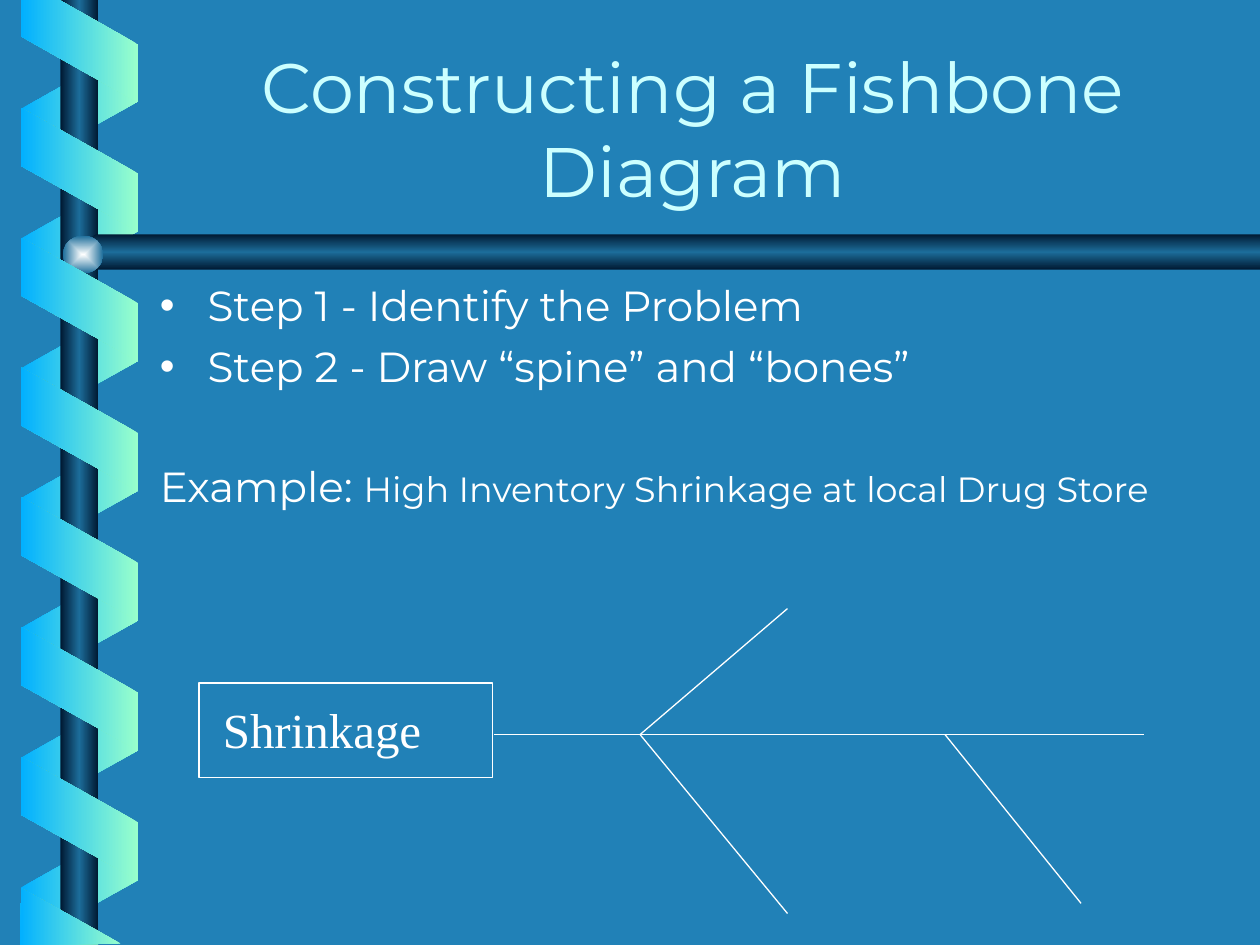
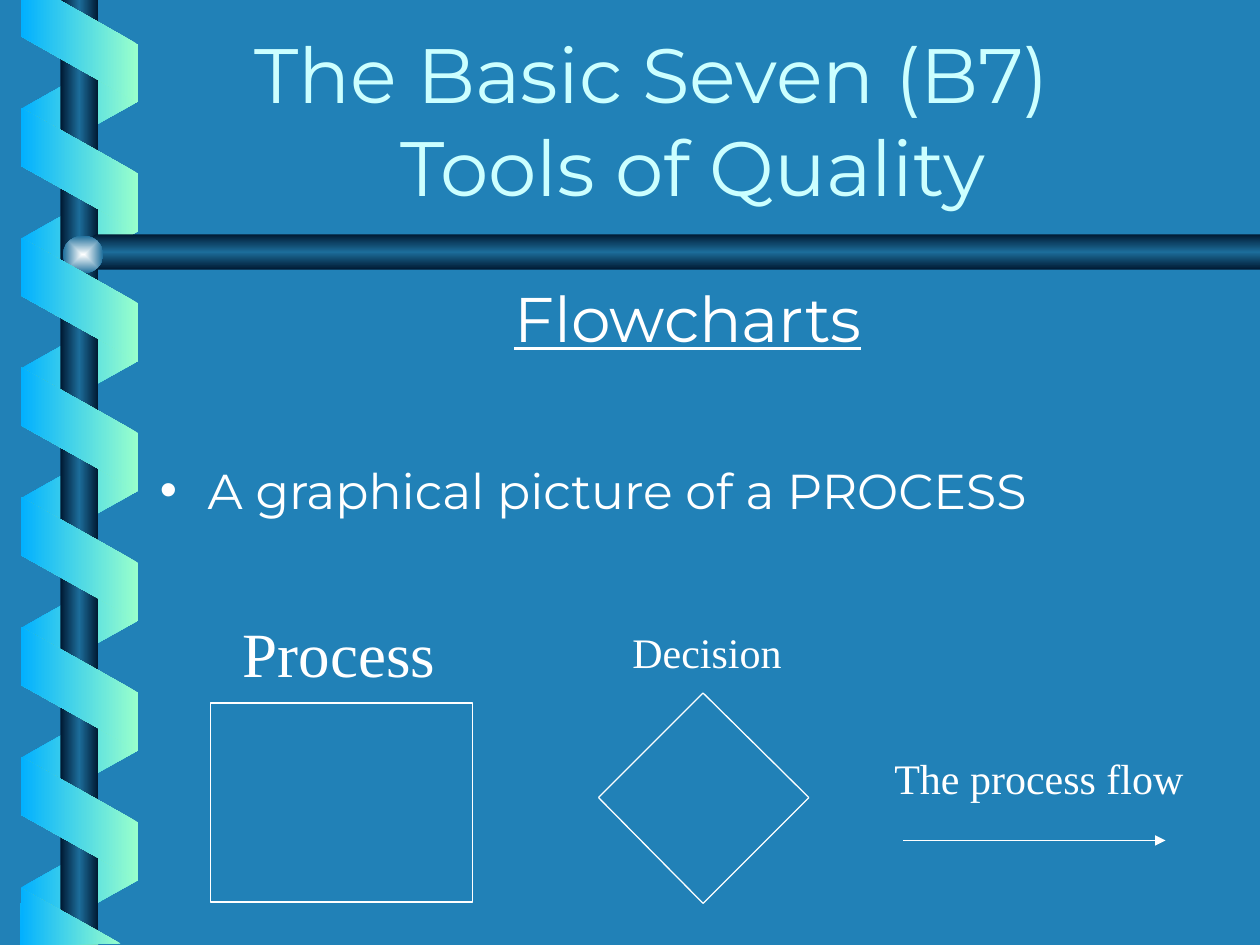
from lxml import etree
from pptx import Presentation
from pptx.dml.color import RGBColor
from pptx.enum.shapes import MSO_CONNECTOR, MSO_SHAPE
from pptx.enum.text import MSO_ANCHOR, PP_ALIGN
from pptx.oxml import parse_xml
from pptx.oxml.ns import nsdecls, qn
from pptx.util import Inches, Pt

STRAIGHT = MSO_CONNECTOR.STRAIGHT
RECT, OVAL, RIBBON = MSO_SHAPE.RECTANGLE, MSO_SHAPE.OVAL, MSO_SHAPE.PARALLELOGRAM
LEFT, CENTER = PP_ALIGN.LEFT, PP_ALIGN.CENTER
TOP, BOTTOM = MSO_ANCHOR.TOP, MSO_ANCHOR.BOTTOM

THEME = {
    "background": "2181B7", "text": "FFFFFF", "title": "CCFFFF",
    "ribbon": ["01B0FF", "99FFCC"],
    "rod": ["001932", "1C6D9A", "001932"],
    "knob": ["FEFFFF", "1C6D9A"],
    "font": "Montserrat", "label_font": "Times New Roman",
    "line": 0.75, "hang": 0.38,
}

# Content: a paragraph is its runs (text, size) plus format values
BODY_BOX = (1.17, 2.17, 8.58, 4.5)
SLIDES = [
    {
        "title_box": (1.25, 0.29, 8.5, 1.44),
        "title": [{"runs": [("Constructing a Fishbone Diagram", 40)], "alignment": CENTER}],
        "body": [
            {"runs": [("Step 1 - Identify the Problem", 24)], "bullet": True},
            {"runs": [("Step 2 - Draw “spine” and “bones”", 24)], "bullet": True,
             "space_before": Pt(6)},
            {"runs": [("Example: ", 24), ("High Inventory Shrinkage at local Drug Store", 20)],
             "space_before": Pt(40)},
        ],
        "labels": [("Shrinkage", 28, (1.67, 5.5, 2.08, 0.57))],
        "boxes": [(1.58, 5.42, 2.33, 0.75)],
        # Spine, then the bones
        "lines": [
            ((3.92, 5.83), (9.08, 5.83)),
            ((5.08, 5.83), (6.25, 7.25)),
            ((5.08, 5.83), (6.25, 4.83)),
            ((7.5, 5.83), (8.58, 7.17)),
        ],
        "arrows": [],
    },
    {
        "title_box": (1.25, 0.16, 8.5, 1.57),
        "title": [
            {"runs": [("The Basic Seven (B7)", 44)], "indent": 0.67},
            {"runs": [("Tools of Quality", 44)], "indent": 1.83},
        ],
        "body": [
            {"runs": [("Flowcharts", 36)], "alignment": CENTER, "underline": True},
            {"runs": [("A graphical picture of a PROCESS", 28)], "bullet": True,
             "space_before": Pt(60)},
        ],
        "labels": [
            ("Process", 36, (1.83, 4.83, 2.75, 0.7)),
            ("Decision", 24, (4.92, 4.92, 1.75, 0.5)),
            ("The process flow", 24, (7, 5.92, 2.5, 0.5)),
        ],
        "boxes": [(1.67, 5.58, 2.08, 1.58)],
        # Decision diamond
        "lines": [
            ((5.58, 5.5), (4.75, 6.33)),
            ((5.58, 5.5), (6.42, 6.33)),
            ((6.42, 6.33), (5.58, 7.17)),
            ((4.75, 6.33), (5.58, 7.17)),
        ],
        "arrows": [((7.17, 6.67), (9.25, 6.67))],
    },
]

# Spiral binding shared by the slides
RIBBON_SIZE, RIBBON_LEFT, RIBBON_STEP = (0.98, 0.93), 0.14, 1.03
BACK_TOPS = [0.37 + RIBBON_STEP * i for i in range(7)]
FRONT_TOPS = [0.88 + RIBBON_STEP * i for i in range(6)]
RIBBON_ENDS = [
    [(0.17, 0), (0.17, 0.29), (1.09, 0.81), (1.09, 0.35), (0.47, 0)],
    [(0.96, 7.49), (0.17, 7.05), (0.16, 7.5)],
]
ROD_BOX = (0.48, 0, 0.3, 7.5)
BAR_OUTLINE = [(10, 1.86), (0.76, 1.86), (0.6, 2), (0.76, 2.14), (10, 2.14)]
KNOB_BOX = (0.5, 1.87, 0.32, 0.3)


def rgb(name):
    return RGBColor.from_string(THEME[name])


def inches(values):
    return [Inches(v) for v in values]


def gradient(shape, colors, angle=None):
    """Fill with evenly spaced stops: linear at an angle, or from the centre."""
    shape.shadow.inherit = False
    shape.line.fill.background()
    stops = "".join(
        f'<a:gs pos="{100000 * i // (len(colors) - 1)}"><a:srgbClr val="{c}"/></a:gs>'
        for i, c in enumerate(colors))
    if angle is None:
        shade = ('<a:path path="rect"><a:fillToRect l="50000" t="50000" '
                 'r="50000" b="50000"/></a:path>')
    else:
        shade = f'<a:lin ang="{angle * 60000}" scaled="1"/>'
    fill = parse_xml(f'<a:gradFill {nsdecls("a")} rotWithShape="0">'
                     f'<a:gsLst>{stops}</a:gsLst>{shade}</a:gradFill>')
    shape._element.spPr.find(qn("a:ln")).addprevious(fill)


def outline(s, points):
    start, *rest = [inches(pt) for pt in points]
    builder = s.shapes.build_freeform(*start, scale=1.0)
    builder.add_line_segments(rest, close=True)
    return builder.convert_to_shape()


def ribbon(s, top, front):
    sp = s.shapes.add_shape(RIBBON, *inches((RIBBON_LEFT, top, *RIBBON_SIZE)))
    sp.adjustments[0] = 0.56
    sp.rotation = 270 if front else 90
    if not front:
        sp._element.spPr.find(qn("a:xfrm")).set("flipH", "1")
    colors = THEME["ribbon"]
    gradient(sp, colors[::-1] if front else colors, 180)


def binding(s):
    for top in BACK_TOPS:
        ribbon(s, top, front=False)
    gradient(s.shapes.add_shape(RECT, *inches(ROD_BOX)), THEME["rod"], 180)
    gradient(outline(s, BAR_OUTLINE), THEME["rod"], 90)
    gradient(s.shapes.add_shape(OVAL, *inches(KNOB_BOX)), THEME["knob"])
    for top in FRONT_TOPS:
        ribbon(s, top, front=True)
    for points in RIBBON_ENDS:
        gradient(outline(s, points), THEME["ribbon"][::-1], 180)


def text(s, box, paragraphs, color="text", font="font", anchor=TOP):
    tf = s.shapes.add_textbox(*inches(box)).text_frame
    tf.word_wrap = True
    tf.vertical_anchor = anchor
    for i, item in enumerate(paragraphs):
        p = tf.paragraphs[0] if i == 0 else tf.add_paragraph()
        pPr = p._p.get_or_add_pPr()
        if item.get("bullet"):
            hang = Inches(THEME["hang"])
            pPr.set("marL", str(hang))
            pPr.set("indent", str(-hang))
            etree.SubElement(pPr, qn("a:buFont")).set("typeface", "Arial")
            etree.SubElement(pPr, qn("a:buChar")).set("char", "•")
        elif "indent" in item:
            pPr.set("marL", str(Inches(item["indent"])))
        formats = {"alignment": item.get("alignment", LEFT),
                   "space_before": item.get("space_before", Pt(0))}
        for name, value in formats.items():
            setattr(p, name, value)
        for words, size in item["runs"]:
            r = p.add_run()
            r.text = words
            r.font.color.rgb = rgb(color)
            run_format = {"name": THEME[font], "size": Pt(size),
                          "underline": item.get("underline")}
            for name, value in run_format.items():
                setattr(r.font, name, value)


def stroke(shape):
    shape.line.color.rgb = rgb("text")
    shape.line.width = Pt(THEME["line"])


def line(s, start, end, arrow=False):
    cx = s.shapes.add_connector(STRAIGHT, *inches(start + end))
    stroke(cx)
    if arrow:
        etree.SubElement(cx.line._get_or_add_ln(), qn("a:tailEnd")).set("type", "triangle")
    etree.SubElement(cx._element.spPr, qn("a:effectLst"))


def build(prs, content):
    s = prs.slides.add_slide(prs.slide_layouts[6])
    s.background.fill.solid()
    s.background.fill.fore_color.rgb = rgb("background")
    binding(s)
    text(s, content["title_box"], content["title"], color="title", anchor=BOTTOM)
    text(s, BODY_BOX, content["body"])

    # Diagram
    for box in content["boxes"]:
        sp = s.shapes.add_shape(RECT, *inches(box))
        sp.shadow.inherit = False
        sp.fill.background()
        stroke(sp)
    for start, end in content["lines"]:
        line(s, start, end)
    for start, end in content["arrows"]:
        line(s, start, end, arrow=True)
    for words, size, box in content["labels"]:
        text(s, box, [{"runs": [(words, size)]}], font="label_font")


def main():
    prs = Presentation()
    prs.slide_width, prs.slide_height = Inches(10), Inches(7.5)
    for content in SLIDES:
        build(prs, content)
    prs.save("out.pptx")


if __name__ == "__main__":
    main()
